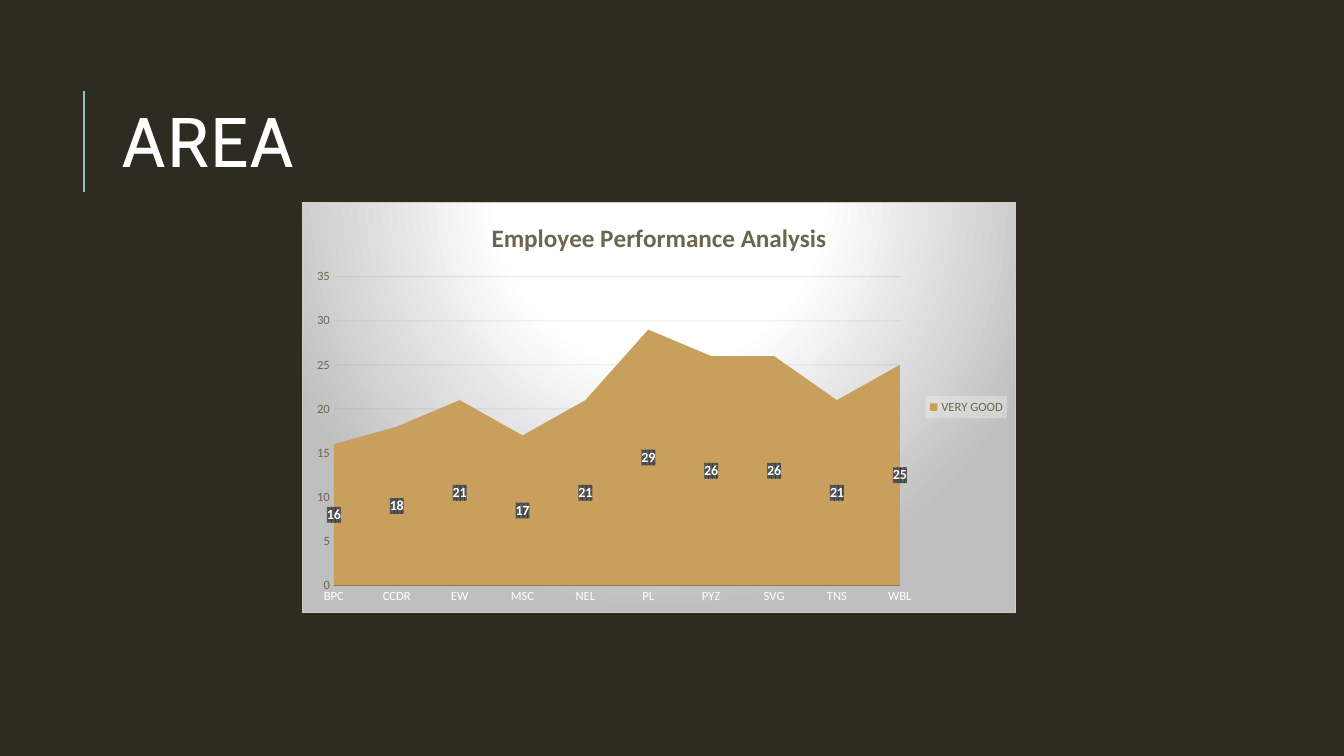
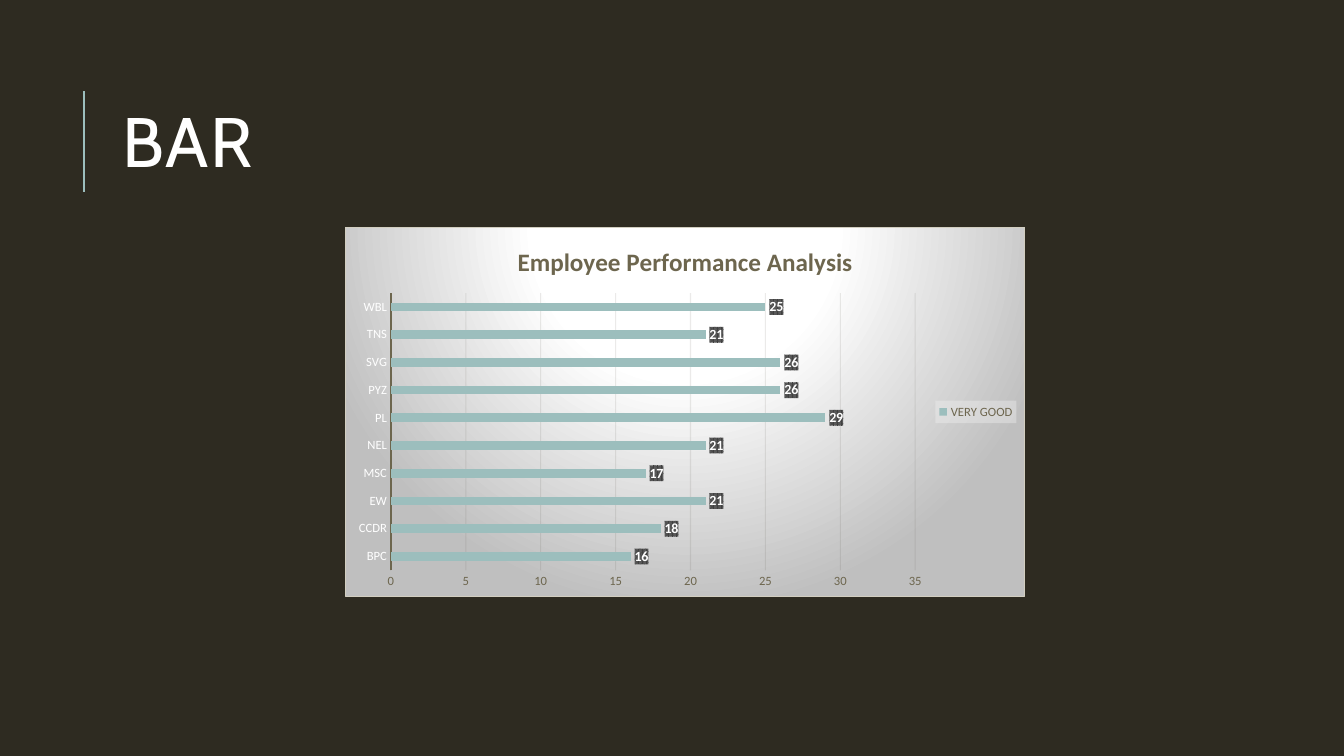
from dataclasses import dataclass
from lxml.etree import SubElement
from pptx import Presentation
from pptx.chart.data import CategoryChartData
from pptx.dml.color import RGBColor
from pptx.enum.chart import XL_CHART_TYPE, XL_LABEL_POSITION, XL_LEGEND_POSITION, XL_TICK_MARK
from pptx.enum.shapes import MSO_CONNECTOR
from pptx.enum.text import MSO_ANCHOR, MSO_AUTO_SIZE, PP_ALIGN
from pptx.oxml import parse_xml
from pptx.oxml.ns import nsdecls, qn
from pptx.util import Cm, Pt

HEAD = "Employee Performance Analysis"
NAME = "VERY GOOD"
CATS = ["BPC", "CCDR", "EW", "MSC", "NEL", "PL", "PYZ", "SVG", "TNS", "WBL"]
VALS = [16, 18, 21, 17, 21, 29, 26, 26, 21, 25]
PAGES = [
    {"title": "AREA", "kind": XL_CHART_TYPE.AREA, "fill": "C89F5D",
     "box": (7.62, 5.08, 17.98, 10.36)},
    {"title": "BAR", "kind": XL_CHART_TYPE.BAR_CLUSTERED, "fill": "9CBEBD",
     "box": (8.69, 5.72, 17.15, 9.32)},
]


@dataclass(frozen=True)
class Theme:
    back: str = "2E2B21"
    rule: str = "9CBEBD"
    light: str = "FFFFFF"
    text: str = "6D664E"
    grid: str = "3B372A"
    edge: str = "D2CEC0"
    shade: str = "BFBFBF"
    key: str = "F2F2F2"
    tag: str = "404040"
    weave: str = "595959"
    face: str = "Cabin"
    body: str = "Calibri"
    big: int = 50
    head: int = 18
    label: int = 10
    small: int = 9


T = Theme()


def color(code):
    return RGBColor.from_string(code)


def style(font, size, code, bold=False, face=T.body):
    font.size, font.bold, font.name = Pt(size), bold, face
    font.color.rgb = color(code)


def stroke(line, code, width):
    line.color.rgb = color(code)
    line.width = Pt(width)


def tint(code):
    return f'<a:srgbClr val="{code}"/>'


def dress(part, fill, line="<a:ln><a:noFill/></a:ln>"):
    look = parse_xml(f'<c:spPr {nsdecls("c", "a")}>{fill}{line}</c:spPr>')
    text = part.find(qn("c:txPr"))
    if text is None:
        part.append(look)
    else:
        text.addprevious(look)


STOPS = "".join(f'<a:gs pos="{at * 1000}">{tint(code)}</a:gs>'
                for at, code in [(0, T.light), (39, T.light), (100, T.shade)])
GLOW = (f'<a:gradFill><a:gsLst>{STOPS}</a:gsLst><a:path path="circle">'
        '<a:fillToRect l="50000" t="-80000" r="50000" b="180000"/></a:path></a:gradFill>')
EDGE = f'<a:ln w="{Pt(0.75)}"><a:solidFill>{tint(T.edge)}</a:solidFill></a:ln>'
VEIL = f'<a:solidFill><a:srgbClr val="{T.key}"><a:alpha val="39000"/></a:srgbClr></a:solidFill>'
WEAVE = (f'<a:pattFill prst="pct75"><a:fgClr>{tint(T.tag)}</a:fgClr>'
         f'<a:bgClr>{tint(T.weave)}</a:bgClr></a:pattFill>')


def add_head(slide, text):
    rule = slide.shapes.add_connector(
        MSO_CONNECTOR.STRAIGHT, Cm(2.11), Cm(4.83), Cm(2.11), Cm(2.29))
    stroke(rule.line, T.rule, 1.5)
    SubElement(rule._element.spPr, qn("a:effectLst"))
    title = slide.shapes.title
    title.left, title.top, title.width, title.height = map(Cm, (2.84, 1.63, 27, 4.17))
    frame = title.text_frame
    frame.text = text
    frame.auto_size = MSO_AUTO_SIZE.NONE
    frame.vertical_anchor = MSO_ANCHOR.MIDDLE
    para = frame.paragraphs[0]
    para.alignment = PP_ALIGN.LEFT
    para.line_spacing = 0.8
    run = para.runs[0]
    style(run.font, T.big, T.light, face=T.face)
    run.font._element.set("spc", "100")


def set_axes(chart):
    cat, val = chart.category_axis, chart.value_axis
    for axis, code in ((cat, T.light), (val, T.text)):
        axis.major_tick_mark = axis.minor_tick_mark = XL_TICK_MARK.NONE
        style(axis.tick_labels.font, T.small, code)
    cat.has_major_gridlines = False
    stroke(cat.format.line, T.text, 1.5)
    val.format.line.fill.background()
    val.has_major_gridlines = True
    grid = val.major_gridlines.format.line
    stroke(grid, T.grid, 0.75)
    for code in val.major_gridlines._xAx.find(qn("c:majorGridlines")).iter(qn("a:srgbClr")):
        SubElement(code, qn("a:alpha")).set("val", "10000")


def add_plot(slide, page):
    data = CategoryChartData()
    data.categories = CATS
    data.add_series(NAME, VALS)
    chart = slide.shapes.add_chart(page["kind"], *map(Cm, page["box"]), data).chart
    style(chart.font, T.label, T.light)
    space = chart._chartSpace
    dress(space, GLOW, EDGE)
    dress(space.chart.plotArea, "<a:noFill/>")

    chart.has_title = True
    frame = chart.chart_title.text_frame
    frame.text = HEAD
    style(frame.paragraphs[0].runs[0].font, T.head, T.text, bold=True)
    chart.chart_title.include_in_layout = False

    chart.has_legend = True
    key = chart.legend
    key.position = XL_LEGEND_POSITION.RIGHT
    key.include_in_layout = False
    style(key.font, T.small, T.text)
    dress(key._element, VEIL)
    set_axes(chart)

    plot = chart.plots[0]
    plot.vary_by_categories = False
    row = plot.series[0]
    row.format.fill.solid()
    row.format.fill.fore_color.rgb = color(page["fill"])
    plot.has_data_labels = True
    tags = plot.data_labels
    tags.show_value = True
    style(tags.font, T.label, T.light, bold=True)
    dress(tags._element, WEAVE)
    if page["kind"] == XL_CHART_TYPE.BAR_CLUSTERED:
        plot.gap_width = 219
        tags.position = XL_LABEL_POSITION.OUTSIDE_END


def main():
    deck = Presentation()
    deck.slide_width, deck.slide_height = Cm(33.87), Cm(19.05)
    back = deck.slide_master.background.fill
    back.solid()
    back.fore_color.rgb = color(T.back)
    for page in PAGES:
        slide = deck.slides.add_slide(deck.slide_layouts[5])
        add_head(slide, page["title"])
        add_plot(slide, page)
    deck.save("out.pptx")


if __name__ == "__main__":
    main()
